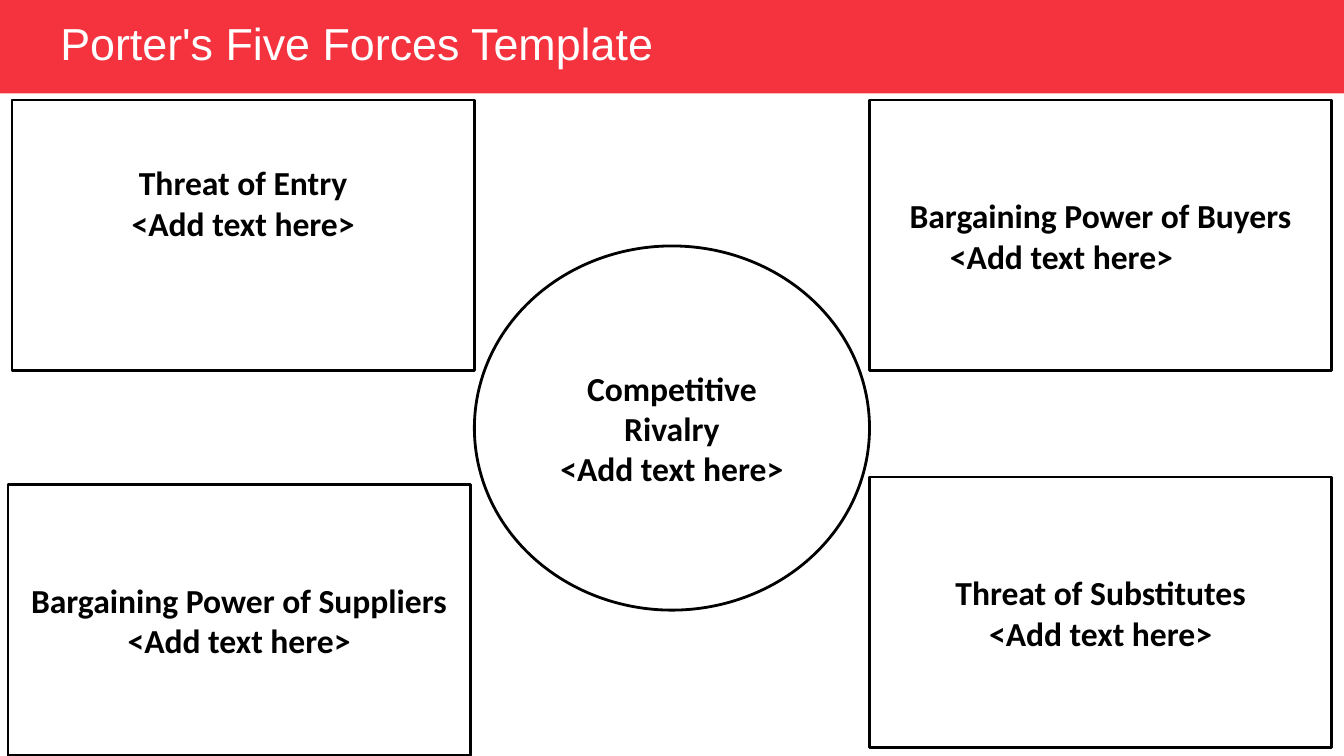
from dataclasses import dataclass

from pptx import Presentation
from pptx import util as u
from pptx.dml.color import RGBColor
from pptx.enum import shapes, text

PX = 4572  # EMU per px, 200 px to the inch


@dataclass(frozen=True)
class Theme:
    banner: RGBColor = RGBColor(0xF5, 0x33, 0x3F)
    on_banner: RGBColor = RGBColor(0xFF, 0xFF, 0xFF)
    ink: RGBColor = RGBColor(0, 0, 0)
    title_font: str = "Arial"
    body_font: str = "Calibri"
    title_size: int = 24
    body_size: int = 18
    outline: float = 1.5


THEME = Theme()
PROMPT = "<Add text here>"
SLIDE_W, SLIDE_H = 2000, 1125
FORCE_W, FORCE_H = 688, 403
RIGHT, TOP = 1294, 149


def px(*lengths):
    return [u.Emu(length * PX) for length in lengths]


def set_margins(frame, left, top, right, bottom):
    (frame.margin_left, frame.margin_top,
     frame.margin_right, frame.margin_bottom) = px(left, top, right, bottom)


def style(paragraph, font, size, color, bold=False):
    paragraph.font.name = font
    paragraph.font.size = u.Pt(size)
    paragraph.font.color.rgb = color
    paragraph.font.bold = bold


def add_banner(slide, x, y, w, h):
    band = slide.shapes.add_shape(shapes.MSO_SHAPE.RECTANGLE, *px(x, y, w, h))
    band.shadow.inherit = False
    band.fill.solid()
    band.fill.fore_color.rgb = THEME.banner
    band.line.fill.background()

    title = slide.shapes.add_textbox(*px(x + 70, y + 26, 942, 84)).text_frame
    title.word_wrap = True
    title.vertical_anchor = text.MSO_ANCHOR.MIDDLE
    set_margins(title, 20, 10, 20, 10)
    heading = title.paragraphs[0]
    heading.text = "Porter's Five Forces Template"
    heading.line_spacing = 0.9
    style(heading, THEME.title_font, THEME.title_size, THEME.on_banner)


def add_force(slide, name, x, y, w=FORCE_W, h=FORCE_H,
              outline=shapes.MSO_SHAPE.RECTANGLE, lift=0, prompt_indent=0):
    """Add an outlined force; lift reserves px below its text,
    prompt_indent left-aligns the prompt with that indent in px."""
    force = slide.shapes.add_shape(outline, *px(x, y, w, h))
    force.shadow.inherit = False
    force.fill.background()
    force.line.color.rgb = THEME.ink
    force.line.width = u.Pt(THEME.outline)

    frame = force.text_frame
    frame.word_wrap = True
    frame.vertical_anchor = text.MSO_ANCHOR.MIDDLE
    set_margins(frame, 20, 20, 20, 20 + lift)
    label, prompt = frame.paragraphs[0], frame.add_paragraph()
    for paragraph, words in ((label, name), (prompt, PROMPT)):
        paragraph.text = words
        paragraph.alignment = text.PP_ALIGN.CENTER
        style(paragraph, THEME.body_font, THEME.body_size, THEME.ink, bold=True)
    if prompt_indent:
        prompt.alignment = text.PP_ALIGN.LEFT
        properties = prompt._p.get_or_add_pPr()
        properties.set("marL", str(prompt_indent * PX))
        properties.set("indent", "0")


def main():
    deck = Presentation()
    deck.slide_width, deck.slide_height = px(SLIDE_W, SLIDE_H)
    slide = deck.slides.add_slide(deck.slide_layouts[6])

    add_banner(slide, 0, 0, SLIDE_W, 139)
    add_force(slide, "Bargaining Power of Suppliers", 12, 721)
    add_force(slide, "Competitive Rivalry", 706, 366, 588, 542,
              outline=shapes.MSO_SHAPE.OVAL)
    add_force(slide, "Threat of Entry", 18, TOP, lift=98)
    add_force(slide, "Threat of Substitutes", RIGHT, 710)
    add_force(slide, "Bargaining Power of Buyers", RIGHT, TOP, prompt_indent=100)

    deck.save("out.pptx")


if __name__ == "__main__":
    main()
